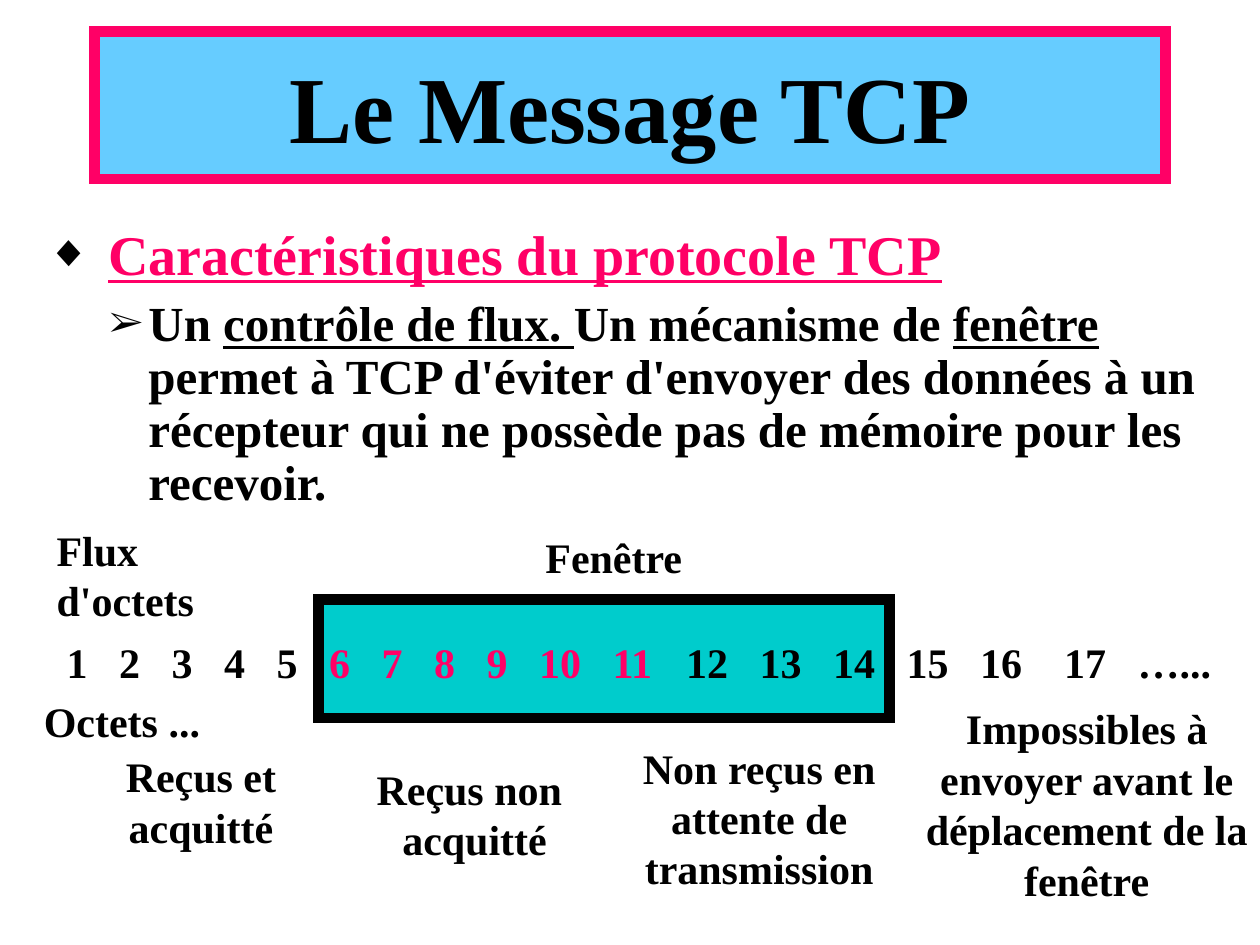
from itertools import accumulate
from lxml.etree import SubElement
from pptx import Presentation
from pptx.dml.color import RGBColor
from pptx.enum.shapes import MSO_SHAPE
from pptx.enum.text import MSO_ANCHOR, MSO_AUTO_SIZE, PP_ALIGN
from pptx.oxml.ns import qn
from pptx.util import Emu, Inches, Pt

COLS, ROWS = 40, 30
FONT = "Times New Roman"
BLACK, PINK, SKY, TEAL = "000000", "FF0066", "66CCFF", "00CCCC"
BYTE_SIZE = 24

prs = Presentation()
prs.slide_width, prs.slide_height = Inches(10), Inches(7.5)


def color(value):
    """Turn a hex string into a colour."""
    return RGBColor.from_string(value)


def grid(box):
    """Turn left, top, width, height in grid cells into slide lengths."""
    cw, rh = prs.slide_width / COLS, prs.slide_height / ROWS
    x, y, w, h = box
    return Emu(round(x * cw)), Emu(round(y * rh)), Emu(round(w * cw)), Emu(round(h * rh))


def add_run(p, text, size=24, hex_color=BLACK, underline=False):
    """Append one bold run to a paragraph."""
    r = p.add_run()
    r.text = text
    f = r.font
    f.name, f.size, f.bold, f.underline = FONT, Pt(size), True, underline
    f.color.rgb = color(hex_color)


def set_frame(sp, hex_fill, hex_line):
    """Give a shape a fill and a thick border with square corners."""
    sp.fill.solid()
    sp.fill.fore_color.rgb = color(hex_fill)
    sp.line.color.rgb = color(hex_line)
    sp.line.width = Pt(6)
    SubElement(sp.line._get_or_add_ln(), qn("a:miter"), lim="800000")


def add_text_frame(s, box, wrap):
    """Add a text box and return its text frame."""
    tf = s.shapes.add_textbox(*grid(box)).text_frame
    tf.word_wrap = wrap
    return tf


def add_bullet(p, char, percent, margin, hang):
    """Give a paragraph a black bullet and a hanging indent."""
    pPr = p._p.get_or_add_pPr()
    pPr.set("marL", str(Inches(margin)))
    pPr.set("indent", str(-Inches(hang)))
    clr = SubElement(pPr, qn("a:buClr"))
    SubElement(clr, qn("a:srgbClr"), val=BLACK)
    SubElement(pPr, qn("a:buSzPct"), val=str(percent * 1000))
    SubElement(pPr, qn("a:buFont"), typeface=FONT)
    SubElement(pPr, qn("a:buChar"), char=char)


def add_title(s, box, text):
    """Place the framed title."""
    sp = s.shapes.title
    sp.left, sp.top, sp.width, sp.height = grid(box)
    set_frame(sp, SKY, PINK)
    tf = sp.text_frame
    tf.vertical_anchor = MSO_ANCHOR.MIDDLE
    p = tf.paragraphs[0]
    p.alignment = PP_ALIGN.CENTER
    add_run(p, text, 54)


def add_body(s, box):
    """Place the heading and the explanation under it."""
    tf = add_text_frame(s, box, True)
    p = tf.paragraphs[0]
    p.line_spacing = 0.9
    add_bullet(p, "◆", 80, 0.49, 0.49)
    add_run(p, "Caractéristiques du protocole TCP", 32, PINK, True)
    p = tf.add_paragraph()
    p.level = 1
    p.line_spacing, p.space_before = 0.9, Pt(7)
    add_bullet(p, "➢", 75, 0.81, 0.31)
    for text, underline in (
        ("Un ", False),
        ("contrôle de flux. ", True),
        ("Un mécanisme de ", False),
        ("fenêtre", True),
        (" permet à TCP d'éviter d'envoyer des données à un récepteur "
         "qui ne possède pas de mémoire pour les recevoir.", False),
    ):
        add_run(p, text, 28, BLACK, underline)


def add_window(s, box):
    """Place the rectangle of the sliding window."""
    sp = s.shapes.add_shape(MSO_SHAPE.RECTANGLE, *grid(box))
    sp.shadow.inherit = False
    set_frame(sp, TEAL, BLACK)


def add_bytes(s, box):
    """Place the numbered bytes, one tab stop before each after the first."""
    p = add_text_frame(s, box, True).paragraphs[0]
    numbers = [str(n) for n in range(1, 18)]
    digit, space = BYTE_SIZE / 2, BYTE_SIZE / 4
    steps = [len(n) * digit + (4 if n == "16" else 3) * space for n in numbers]
    tabs = SubElement(p._p.get_or_add_pPr(), qn("a:tabLst"))
    for stop in accumulate(steps):
        SubElement(tabs, qn("a:tab"), pos=str(Pt(stop)), algn="l")
    for items, hex_color, end in (
        (numbers[:5], BLACK, "\t"),
        (numbers[5:11], PINK, "\t"),
        (numbers[11:] + ["…..."], BLACK, ""),
    ):
        add_run(p, "\t".join(items) + end, BYTE_SIZE, hex_color)


def add_label(s, box, lines, align=PP_ALIGN.CENTER):
    """Place a label with one paragraph for each line."""
    tf = add_text_frame(s, box, False)
    tf.auto_size = MSO_AUTO_SIZE.SHAPE_TO_FIT_TEXT
    if align == PP_ALIGN.CENTER:
        tf.margin_left = tf.margin_right = Inches(0.05)
    for i, line in enumerate(lines):
        p = tf.add_paragraph() if i else tf.paragraphs[0]
        p.alignment = align
        add_run(p, line)


def build():
    """Build the slide and save it."""
    s = prs.slides.add_slide(prs.slide_layouts[5])
    add_title(s, (3, 1, 34, 4.68), "Le Message TCP")
    add_body(s, (1.08, 7, 37.48, 10.08))
    add_window(s, (10.12, 19.04, 18.12, 3.76))
    add_bytes(s, (1.72, 20, 37.8, 2))
    left = PP_ALIGN.LEFT
    add_label(s, (1.4, 16.44, 5.16, 3.6), ["Flux", "d'octets"], left)
    add_label(s, (16.92, 16.68, 5.16, 2), ["Fenêtre"], left)
    add_label(s, (1, 21.88, 5.76, 2), ["Octets ..."], left)
    add_label(s, (3.6, 23.64, 5.56, 3.6), ["Reçus et", "acquitté"])
    add_label(s, (11.56, 24.04, 6.68, 3.6), ["Reçus non", " acquitté"])
    add_label(s, (20, 23.36, 8.2, 5.2), ["Non reçus en", "attente de", "transmission"])
    add_label(s, (29, 22.12, 11, 6.8),
              ["Impossibles à", "envoyer avant le", "déplacement de la", "fenêtre"])
    prs.save("out.pptx")


if __name__ == "__main__":
    build()
